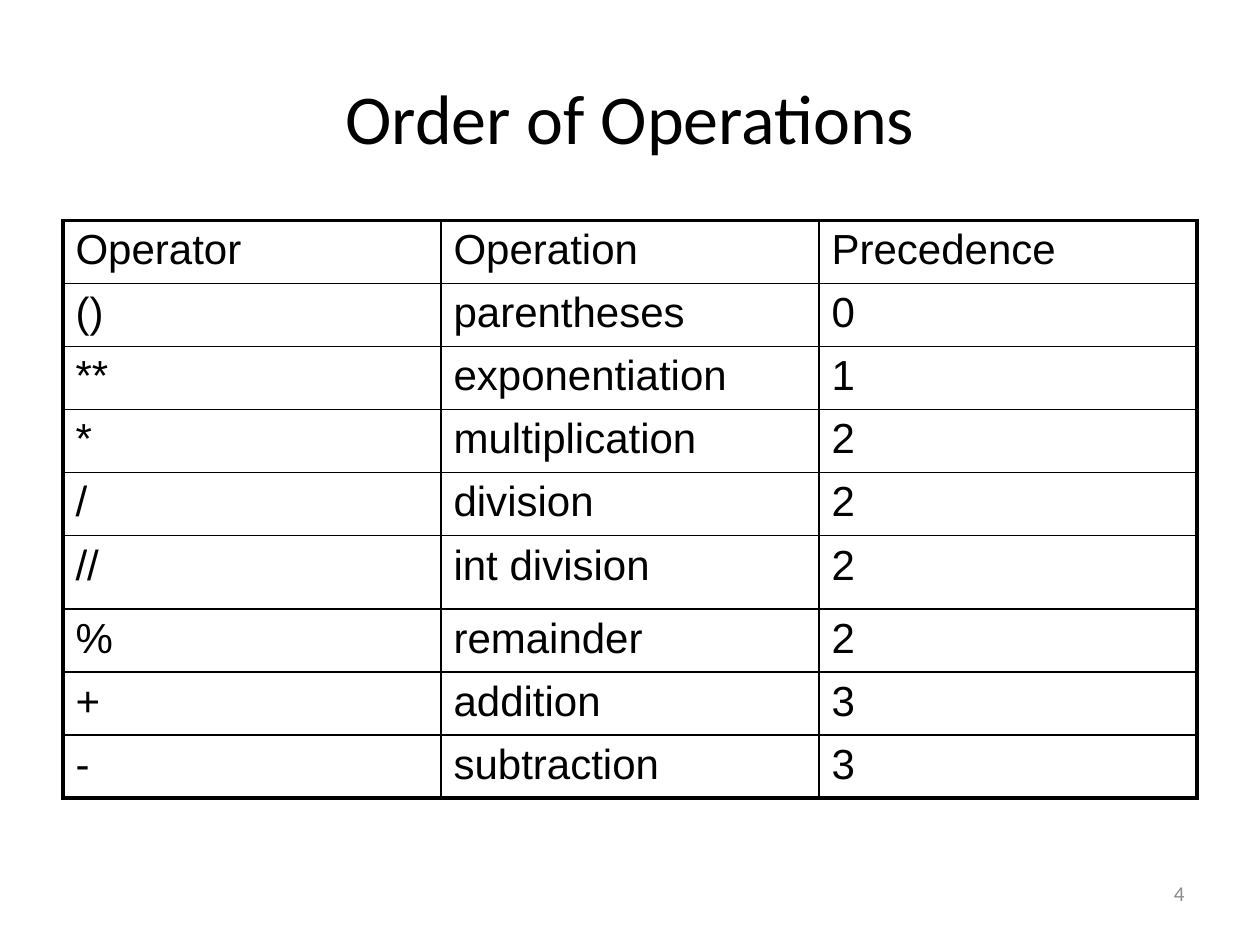
from lxml import etree
from pptx import Presentation
from pptx.dml.color import RGBColor
from pptx.enum.text import MSO_ANCHOR, PP_ALIGN
from pptx.oxml.ns import qn
from pptx.util import Inches, Pt

TITLE = "Order of Operations"
PAGE_NUMBER = "4"
OPERATORS = [
    ("Operator", "Operation", "Precedence"),
    ("()", "parentheses", "0"),
    ("**", "exponentiation", "1"),
    ("*", "multiplication", "2"),
    ("/", "division", "2"),
    ("//", "int division", "2"),
    ("%", "remainder", "2"),
    ("+", "addition", "3"),
    ("-", "subtraction", "3"),
]
COLUMN_WIDTH = 3
ROW_HEIGHT = 0.49
TALL_ROWS = {"//": 0.58}

BLACK = RGBColor(0, 0, 0)
GRAY = RGBColor(0x8C, 0x8C, 0x8C)
THIN, THICK = Pt(1), Pt(2.25)
LEFT, CENTER, RIGHT = PP_ALIGN.LEFT, PP_ALIGN.CENTER, PP_ALIGN.RIGHT
MIDDLE = MSO_ANCHOR.MIDDLE


def write(frame, text, size, font="Calibri", color=BLACK, align=LEFT):
    para = frame.paragraphs[0]
    para.alignment = align
    span = para.add_run()
    span.text = text
    span.font.size = Pt(size)
    span.font.name = font
    span.font.color.rgb = color


def add_text(page, text, left, top, width, height, **style):
    box = page.shapes.add_textbox(Inches(left), Inches(top), Inches(width), Inches(height))
    box.text_frame.word_wrap = True
    box.text_frame.vertical_anchor = MIDDLE
    write(box.text_frame, text, **style)


def set_borders(cell, widths):
    properties = cell._tc.get_or_add_tcPr()
    for index, (side, width) in enumerate(widths.items()):
        line = etree.Element(qn(f"a:ln{side}"), w=str(width))
        fill = etree.SubElement(line, qn("a:solidFill"))
        etree.SubElement(fill, qn("a:srgbClr"), val=str(BLACK))
        properties.insert(index, line)


def add_operator_table(page):
    row_count, column_count = len(OPERATORS), len(OPERATORS[0])
    heights = [TALL_ROWS.get(row[0], ROW_HEIGHT) for row in OPERATORS]
    table = page.shapes.add_table(
        row_count, column_count, Inches(0.5), Inches(1.75),
        Inches(COLUMN_WIDTH * column_count), Inches(sum(heights)),
    ).table
    table.first_row = False
    table.horz_banding = False
    for column in table.columns:
        column.width = Inches(COLUMN_WIDTH)
    for r, values in enumerate(OPERATORS):
        table.rows[r].height = Inches(heights[r])
        for c, value in enumerate(values):
            cell = table.cell(r, c)
            cell.fill.background()
            write(cell.text_frame, value, size=24, font="Arial")
            set_borders(cell, {
                "L": THICK if c == 0 else THIN,
                "R": THICK if c == column_count - 1 else THIN,
                "T": THICK if r == 0 else THIN,
                "B": THICK if r == row_count - 1 else THIN,
            })


deck = Presentation()
deck.slide_width, deck.slide_height = Inches(10), Inches(7.5)
page = deck.slides.add_slide(deck.slide_layouts[6])
add_text(page, PAGE_NUMBER, 7.17, 6.83, 2.33, 0.52, size=12, color=GRAY, align=RIGHT)
add_text(page, TITLE, 0.5, 0.3, 9, 1.25, size=40, align=CENTER)
add_operator_table(page)
deck.save("out.pptx")
